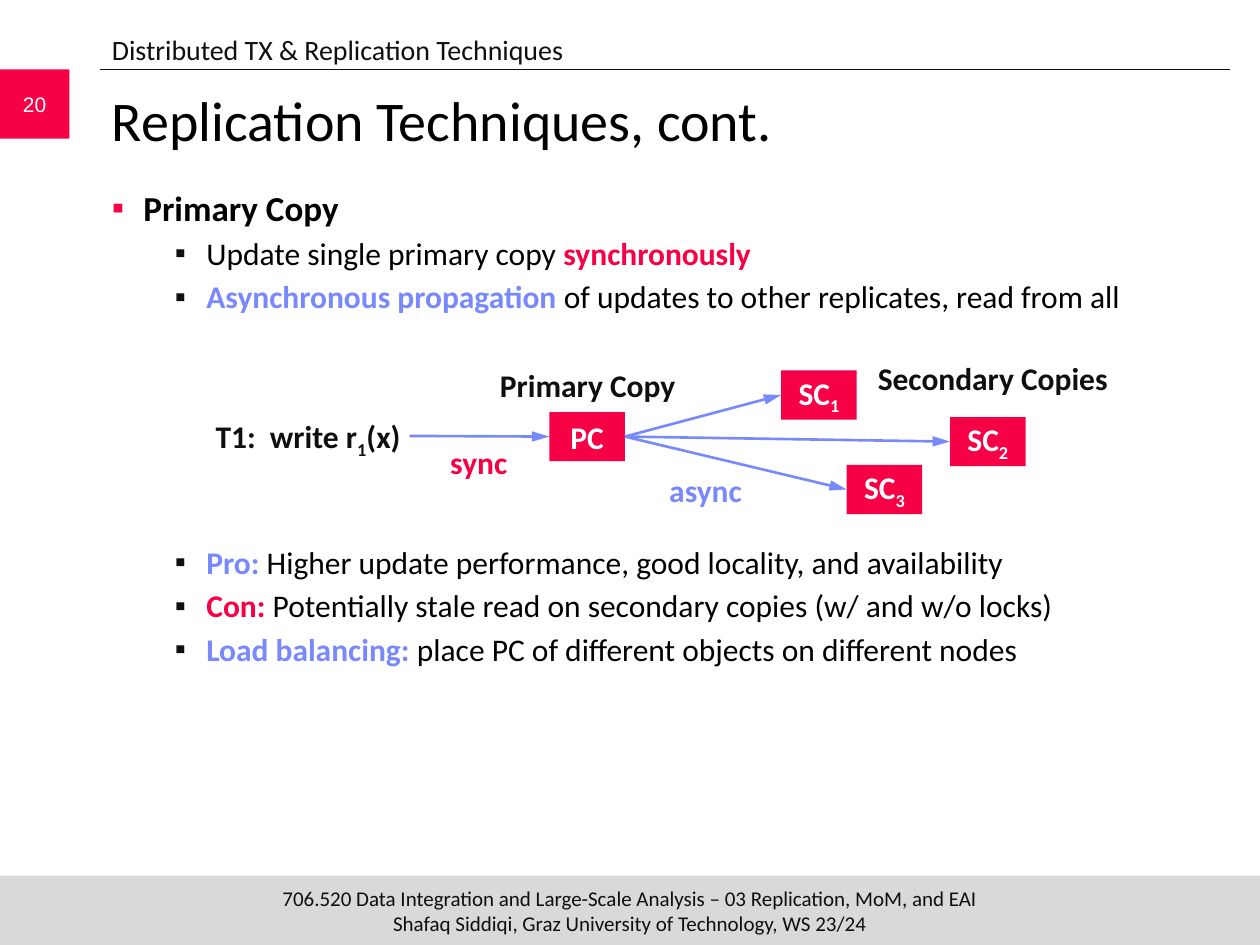
from lxml import etree
from pptx import Presentation
from pptx import util as u
from pptx.dml.color import RGBColor
from pptx.enum import shapes, text
from pptx.oxml import ns

Inches, Pt = u.Inches, u.Pt
rgb = RGBColor.from_string
RED, BLUE, INK, BLACK, WHITE, GREY = "F70146", "7889FB", "0F0F0F", "000000", "FFFFFF", "D9D9D9"
LEFT, CENTER = text.PP_ALIGN.LEFT, text.PP_ALIGN.CENTER
TOP, MIDDLE = text.MSO_ANCHOR.TOP, text.MSO_ANCHOR.MIDDLE


def first_paragraph(shape, align=LEFT, anchor=TOP, side=0.1, edge=0.05):
    """Set up the shape's text frame (insets in inches) and return its first paragraph."""
    frame = shape.text_frame
    frame.word_wrap = True
    frame.vertical_anchor = anchor
    frame.margin_left = frame.margin_right = Inches(side)
    frame.margin_top = frame.margin_bottom = Inches(edge)
    frame.paragraphs[0].alignment = align
    return frame.paragraphs[0]


def add_run(paragraph, words, size, color, bold=False, font="Calibri", subscript=False):
    run = paragraph.add_run()
    run.text = words
    run.font.size = Pt(size)
    run.font.name = font
    run.font.bold = bold
    run.font.color.rgb = rgb(color)
    if subscript:
        run._r.get_or_add_rPr().set("baseline", "-25000")


prs = Presentation()
prs.slide_width, prs.slide_height = Inches(10), Inches(7.5)
slide = prs.slides.add_slide(prs.slide_layouts[6])

# Filled rectangles: footer bar, page number and the copies
rectangles = {}
for part, left, top, width, height, fill in [
    ("footer", 0, 6.95, 10, 0.55, GREY),
    ("page", 0, 0.55, 0.55, 0.55, RED),
    ("PC", 4.36, 3.27, 0.6, 0.39, RED),
    ("SC1", 6.2, 2.94, 0.6, 0.39, RED),
    ("SC2", 7.54, 3.31, 0.6, 0.39, RED),
    ("SC3", 6.72, 3.69, 0.6, 0.39, RED),
]:
    rectangle = slide.shapes.add_shape(
        shapes.MSO_SHAPE.RECTANGLE, Inches(left), Inches(top), Inches(width), Inches(height))
    rectangle.shadow.inherit = False
    rectangle.fill.solid()
    rectangle.fill.fore_color.rgb = rgb(fill)
    rectangle.line.fill.background()
    rectangles[part] = rectangle

footer = first_paragraph(rectangles["footer"], CENTER, MIDDLE, 0, 0)
add_run(footer, "706.520 Data Integration and Large-Scale Analysis – 03 Replication, MoM, and EAI", 12, INK)
footer.add_line_break()
add_run(footer, "Shafaq Siddiqi, Graz University of Technology, WS 23/24", 12, INK)

page = first_paragraph(rectangles["page"], CENTER, MIDDLE)
add_run(page, "20", 12, WHITE, font="Arial")

for copy_name in ("PC", "SC1", "SC2", "SC3"):
    label = first_paragraph(rectangles[copy_name], CENTER, MIDDLE, side=0)
    add_run(label, copy_name[:2], 18, WHITE, True)
    if copy_name[2:]:
        add_run(label, copy_name[2:], 18, WHITE, True, subscript=True)

# Header and title
for words, top, width, height, size, color in [
    ("Replication Techniques, cont.", 0.63, 8.96, 0.83, 32, BLACK),
    ("Distributed TX & Replication Techniques", 0.21, 9, 0.36, 16, INK),
]:
    heading = slide.shapes.add_textbox(Inches(0.79), Inches(top), Inches(width), Inches(height))
    add_run(first_paragraph(heading), words, size, color)

# Bullets above and below the diagram: (indent, bullet colour, size, runs)
above = [
    (0.25, RED, 20, [("Primary Copy", BLACK, True)]),
    (0.75, INK, 18, [("Update single primary copy ", BLACK, False), ("synchronously", RED, True)]),
    (0.75, INK, 18, [("Asynchronous propagation", BLUE, True),
                     (" of updates to other replicates, read from all", BLACK, False)]),
]
below = [
    (0.75, INK, 18, [("Pro: ", BLUE, True),
                     ("Higher update performance, good locality, and availability", BLACK, False)]),
    (0.75, INK, 18, [("Con:", RED, True),
                     (" Potentially stale read on secondary copies (w/ and w/o locks)", BLACK, False)]),
    (0.75, INK, 18, [("Load balancing:", BLUE, True),
                     (" place PC of different objects on different nodes", BLACK, False)]),
]
for top, height, bullets in [(1.43, 1.2, above), (4.26, 1.2, below)]:
    body = slide.shapes.add_textbox(Inches(0.79), Inches(top), Inches(8.96), Inches(height))
    paragraph = first_paragraph(body)
    for number, (indent, bullet_color, size, runs) in enumerate(bullets):
        if number:
            paragraph = body.text_frame.add_paragraph()
            paragraph.space_before = Pt(3.2)
        paragraph.level = 1 if indent > 0.5 else 0
        properties = paragraph._p.get_or_add_pPr()
        properties.set("marL", str(Inches(indent)))
        properties.set("indent", str(Inches(-0.25)))
        bullet_fill = etree.SubElement(properties, ns.qn("a:buClr"))
        etree.SubElement(bullet_fill, ns.qn("a:srgbClr"), val=bullet_color)
        etree.SubElement(properties, ns.qn("a:buFont"), typeface="Arial")
        etree.SubElement(properties, ns.qn("a:buChar"), char="▪")
        for words, color, bold in runs:
            add_run(paragraph, words, size, color, bold)

# Diagram labels
for words, left, top, width, color in [
    ("sync", 3.5, 3.47, 0.6, RED),
    ("async", 5.3, 3.69, 0.6, BLUE),
    ("Primary Copy", 3.78, 2.86, 1.77, INK),
    ("Secondary Copies", 6.83, 2.8, 2.1, INK),
]:
    caption = slide.shapes.add_textbox(Inches(left), Inches(top), Inches(width), Inches(0.4))
    add_run(first_paragraph(caption, CENTER, side=0), words, 18, color, True)

transaction = slide.shapes.add_textbox(Inches(1.64), Inches(3.26), Inches(1.61), Inches(0.4))
write_call = first_paragraph(transaction, CENTER, side=0)
add_run(write_call, "T1:  write r", 18, INK, True)
add_run(write_call, "1", 18, INK, True, subscript=True)
add_run(write_call, "(x)", 18, INK, True)

# Header rule and update arrows
rule = slide.shapes.add_connector(
    shapes.MSO_CONNECTOR.STRAIGHT, Inches(0.79), Inches(0.55), Inches(9.76), Inches(0.55))
rule.line.color.rgb = rgb(INK)
rule.line.width = Pt(0.5)
etree.SubElement(rule._element.spPr, ns.qn("a:effectLst"))

primary = rectangles["PC"]
for source, target in [(transaction, primary)] + [
        (primary, rectangles[name]) for name in ("SC1", "SC2", "SC3")]:
    arrow = slide.shapes.add_connector(shapes.MSO_CONNECTOR.STRAIGHT, 0, 0, 0, 0)
    arrow.begin_connect(source, 3)
    arrow.end_connect(target, 1)
    arrow.line.color.rgb = rgb(BLUE)
    arrow.line.width = Pt(1.5)
    etree.SubElement(arrow.line._get_or_add_ln(), ns.qn("a:tailEnd"), type="triangle", w="med", len="lg")
    etree.SubElement(arrow._element.spPr, ns.qn("a:effectLst"))

prs.save("out.pptx")
